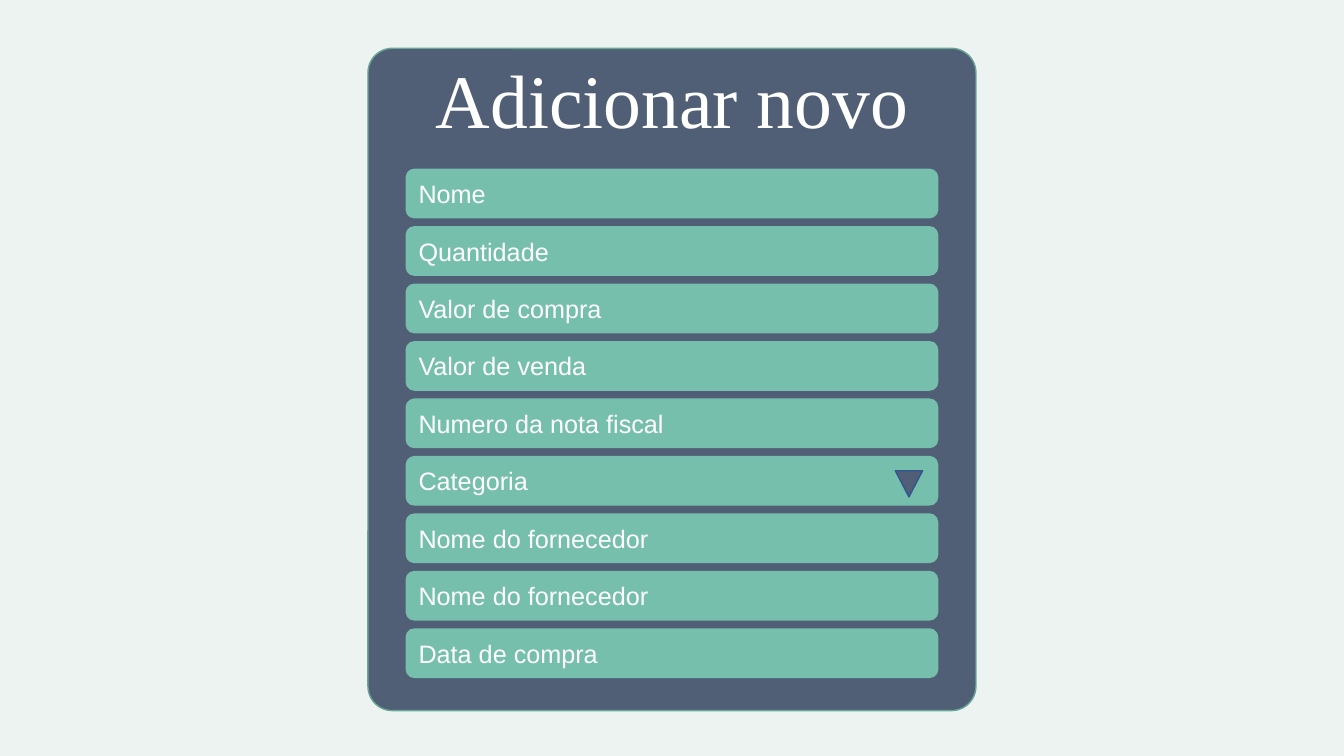
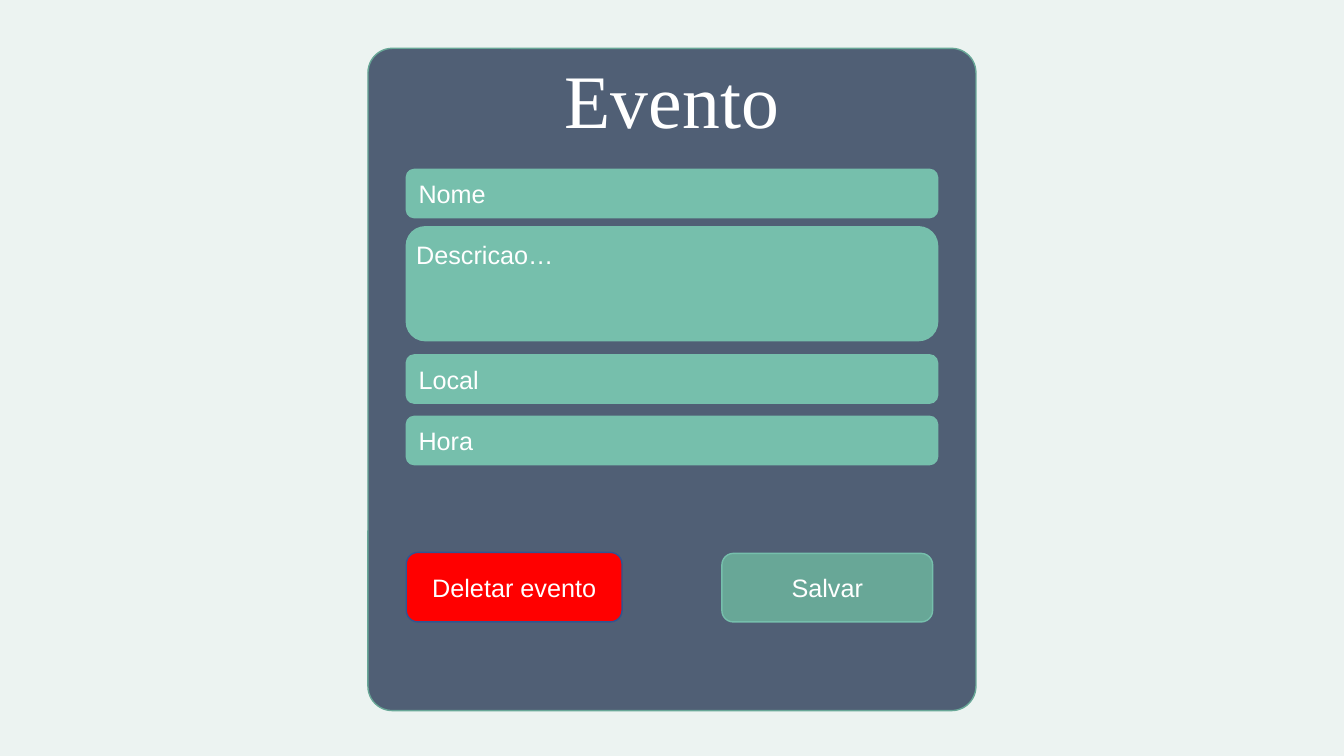
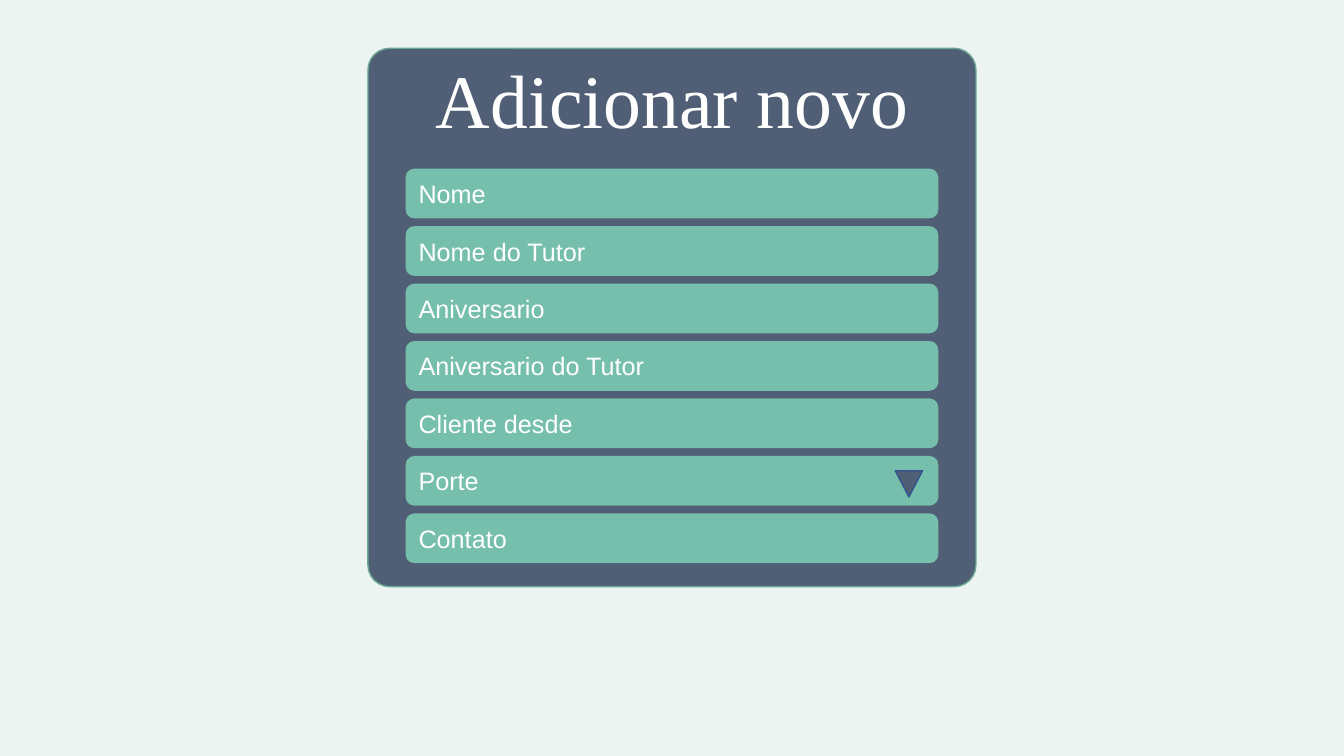
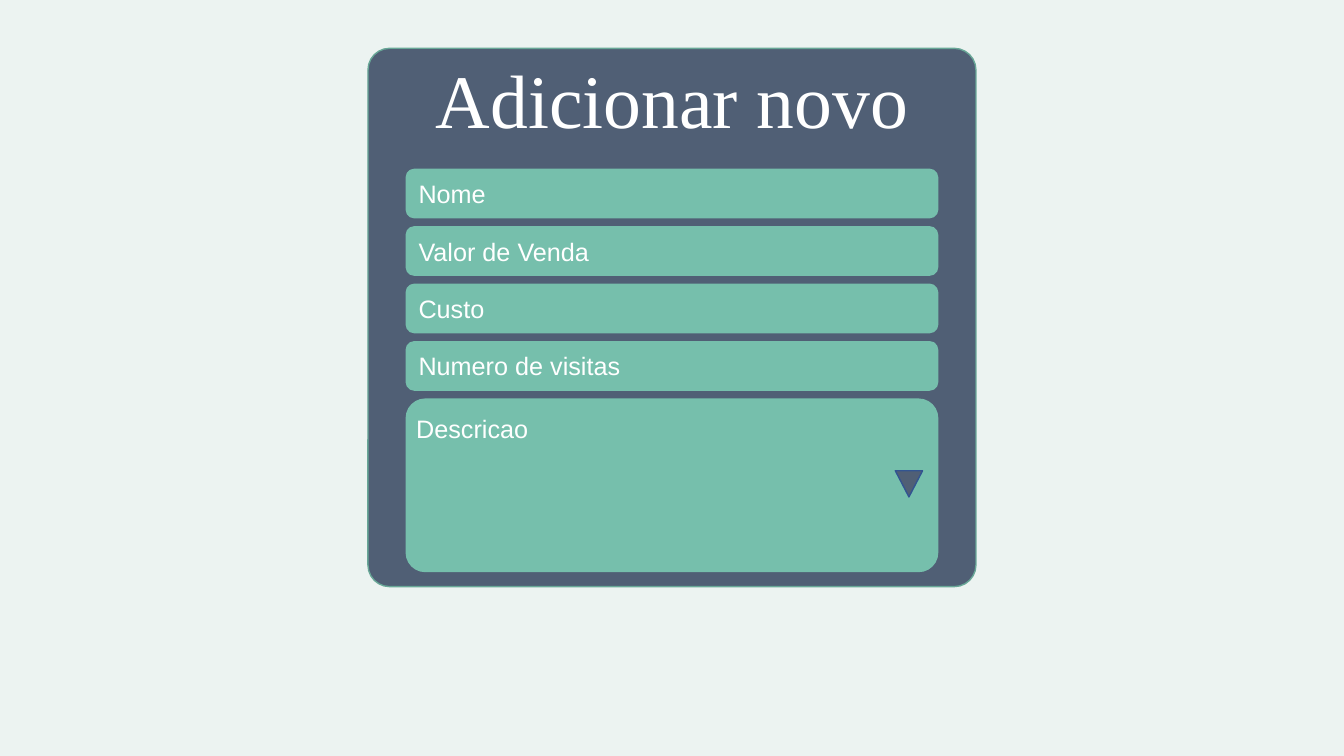
from pptx import Presentation
from pptx.dml.color import RGBColor
from pptx.enum.shapes import MSO_SHAPE as Preset
from pptx.enum.text import MSO_AUTO_SIZE as AutoSize
from pptx.enum.text import MSO_ANCHOR as Anchor
from pptx.enum.text import PP_ALIGN as Align
from pptx.util import Inches, Pt

BACKGROUND = "ECF3F1"
PANEL = "505F75"
PANEL_EDGE = "68A797"
FIELD = "76BFAC"
DARK_EDGE = "325491"
DELETE = "FF0000"
WHITE = "FFFFFF"

TITLE_FONT = {"name": "Times New Roman", "size": Pt(54)}
BODY_FONT = {"name": "Arial", "size": Pt(18)}

PANEL_LEFT, PANEL_TOP, PANEL_WIDTH = 3.65, 0.48, 6.03
FIELD_LEFT, FIELD_WIDTH, FIELD_HEIGHT = 4.03, 5.27, 0.48
FIRST_ROW, ROW_STEP = 1.68, 0.57
TALL_PANEL, SHORT_PANEL = 6.57, 5.34


def color(value):
    return RGBColor.from_string(value)


def row_top(row):
    return FIRST_ROW + row * ROW_STEP


def set_format(target, values):
    for name, value in values.items():
        setattr(target, name, value)


def write_text(frame, text, font, align):
    paragraph = frame.paragraphs[0]
    paragraph.alignment = align
    run = paragraph.add_run()
    run.text = text
    set_format(run.font, font)
    run.font.color.rgb = color(WHITE)


def add_box(shapes, preset, place, fill, edge, corner=None):
    shape = shapes.add_shape(preset, *map(Inches, place))
    shape.shadow.inherit = False
    shape.fill.solid()
    shape.fill.fore_color.rgb = color(fill)
    shape.line.color.rgb = color(edge)
    shape.line.width = Pt(1)
    if corner is not None:
        shape.adjustments[0] = corner
    return shape


def add_label(shapes, place, text, font, align=Align.LEFT):
    label = shapes.add_textbox(*map(Inches, place))
    set_format(label.text_frame, {"word_wrap": True, "auto_size": AutoSize.SHAPE_TO_FIT_TEXT})
    write_text(label.text_frame, text, font, align)


def add_text_box(shapes, place, text, fill, edge, align):
    shape = add_box(shapes, Preset.ROUNDED_RECTANGLE, place, fill, edge)
    shape.text_frame.vertical_anchor = Anchor.MIDDLE
    write_text(shape.text_frame, text, BODY_FONT, align)


def add_field(shapes, top, text):
    place = (FIELD_LEFT, top, FIELD_WIDTH, FIELD_HEIGHT)
    add_text_box(shapes, place, text, FIELD, FIELD, Align.LEFT)


def add_button(shapes, place, text, fill, edge):
    add_text_box(shapes, place, text, fill, edge, Align.CENTER)


def add_arrow(shapes, top):
    arrow = add_box(shapes, Preset.ISOSCELES_TRIANGLE, (8.88, top + 0.14, 0.27, 0.26), PANEL, DARK_EDGE)
    arrow.rotation = 180


def add_dropdown(shapes, top, text):
    group = shapes.add_group_shape()
    add_field(group.shapes, top, text)
    add_arrow(group.shapes, top)


def add_description(shapes, top, height, text, corner, inset):
    place = (FIELD_LEFT, top, FIELD_WIDTH, height)
    add_box(shapes, Preset.ROUNDED_RECTANGLE, place, FIELD, FIELD, corner)
    add_label(shapes, (FIELD_LEFT, top + inset, 5.03, 0.4), text, BODY_FONT)


def add_rows(shapes, names, dropdown=None):
    for row, name in enumerate(names):
        add_row = add_dropdown if name == dropdown else add_field
        add_row(shapes, row_top(row), name)


def add_form(presentation, title, height):
    shapes = presentation.slides.add_slide(presentation.slide_layouts[6]).shapes
    place = (PANEL_LEFT, PANEL_TOP, PANEL_WIDTH, height)
    add_box(shapes, Preset.ROUNDED_RECTANGLE, place, PANEL, PANEL_EDGE, 0.04)
    add_label(shapes, (FIELD_LEFT, PANEL_TOP, FIELD_WIDTH, 1.01), title, TITLE_FONT, Align.CENTER)
    return shapes


def add_product_form(presentation):
    shapes = add_form(presentation, "Adicionar novo", TALL_PANEL)
    names = ["Nome", "Quantidade", "Valor de compra", "Valor de venda",
             "Numero da nota fiscal", "Categoria", "Nome do fornecedor",
             "Nome do fornecedor", "Data de compra"]
    add_rows(shapes, names, "Categoria")


def add_event_form(presentation):
    shapes = add_form(presentation, "Evento", TALL_PANEL)
    add_rows(shapes, ["Nome"])
    add_description(shapes, row_top(1), 1.13, "Descricao…", None, 0.08)
    add_field(shapes, 3.52, "Local")
    add_field(shapes, 4.13, "Hora")
    add_button(shapes, (FIELD_LEFT, 5.48, 2.14, 0.69), "Deletar evento", DELETE, DARK_EDGE)
    add_button(shapes, (7.16, 5.49, 2.09, 0.68), "Salvar", PANEL_EDGE, FIELD)


def add_client_form(presentation):
    shapes = add_form(presentation, "Adicionar novo", SHORT_PANEL)
    names = ["Nome", "Nome do Tutor", "Aniversario", "Aniversario do Tutor",
             "Cliente desde", "Porte", "Contato"]
    add_rows(shapes, names, "Porte")


def add_service_form(presentation):
    shapes = add_form(presentation, "Adicionar novo", SHORT_PANEL)
    add_rows(shapes, ["Nome", "Valor de Venda", "Custo", "Numero de visitas"])
    add_description(shapes, row_top(4), 1.71, "Descricao", 0.11, 0.09)
    add_arrow(shapes, row_top(5))


def main():
    presentation = Presentation()
    set_format(presentation, {"slide_width": Inches(13.33), "slide_height": Inches(7.5)})
    background = presentation.slide_master.background.fill
    background.solid()
    background.fore_color.rgb = color(BACKGROUND)
    add_product_form(presentation)
    add_event_form(presentation)
    add_client_form(presentation)
    add_service_form(presentation)
    presentation.save("out.pptx")


if __name__ == "__main__":
    main()
